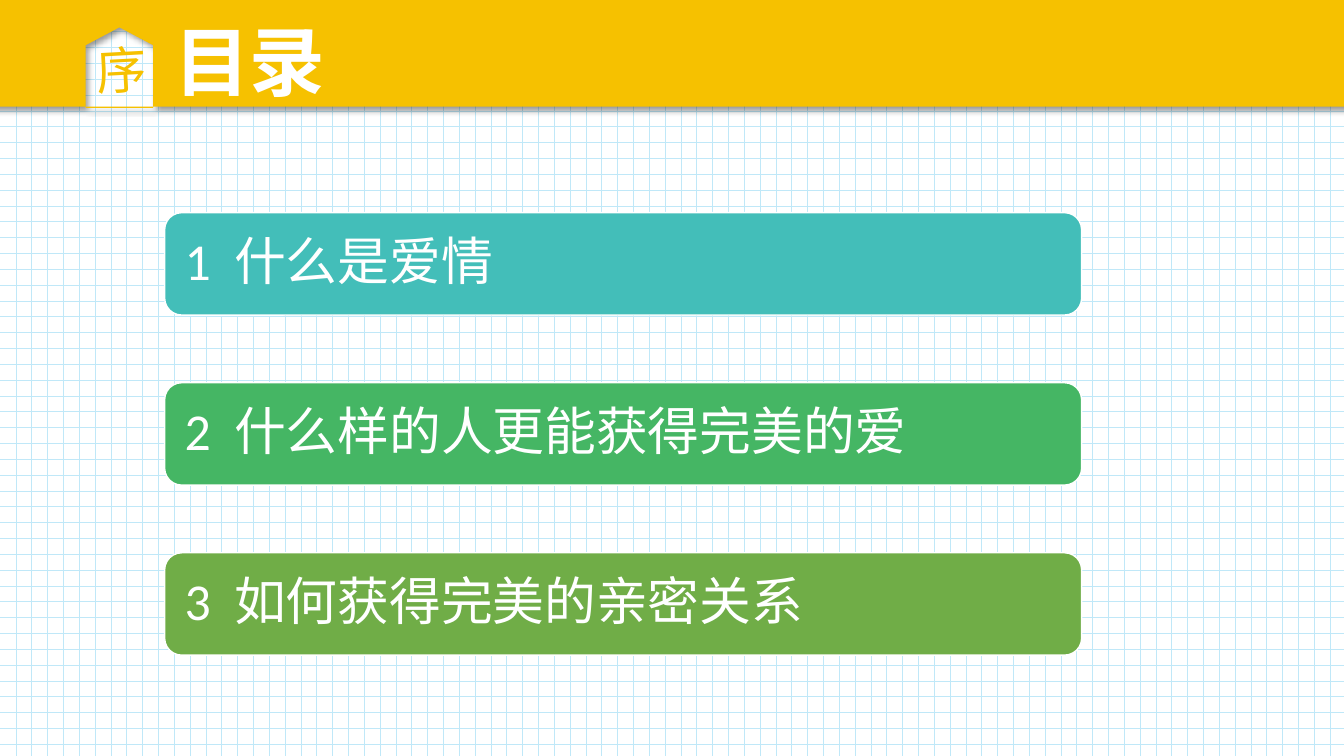
from lxml import etree
from pptx import Presentation
from pptx.dml.color import RGBColor
from pptx.enum.dml import MSO_PATTERN
from pptx.enum.shapes import MSO_SHAPE
from pptx.enum.text import MSO_ANCHOR, MSO_AUTO_SIZE, PP_ALIGN
from pptx.util import Cm, Pt

DOT_GRID = MSO_PATTERN.DOTTED_GRID
ROUNDED = MSO_SHAPE.ROUNDED_RECTANGLE
MIDDLE = MSO_ANCHOR.MIDDLE
GROW = MSO_AUTO_SIZE.SHAPE_TO_FIT_TEXT
LEFT = PP_ALIGN.LEFT

WHITE = RGBColor(0xFF, 0xFF, 0xFF)
GRID_BLUE = RGBColor(0xC0, 0xE8, 0xF8)
YELLOW = RGBColor(0xF6, 0xC1, 0x00)
TEAL = RGBColor(0x43, 0xBE, 0xB9)
GREEN = RGBColor(0x45, 0xB6, 0x64)
OLIVE = RGBColor(0x70, 0xAD, 0x47)

MARK_FONT = {"name": "Noto Sans CJK JP", "size": Pt(36)}
TITLE_FONT = {"name": "Arial", "size": Pt(54), "bold": True}
TOPIC_FONT = {"name": "Calibri", "size": Pt(37)}

TOPICS = [
    ("1", "什么是爱情", TEAL),
    ("2", "什么样的人更能获得完美的爱", GREEN),
    ("3", "如何获得完美的亲密关系", OLIVE),
]

SHADOW = (
    '<a:effectLst xmlns:a="http://schemas.openxmlformats.org/drawingml/2006/main">'
    '<a:outerShdw blurRad="50800" dist="38100" dir="2700000" algn="tl" rotWithShape="0">'
    '<a:srgbClr val="000000"><a:alpha val="40000"/></a:srgbClr>'
    "</a:outerShdw></a:effectLst>"
)


def add_run(paragraph, text, font_values, color):
    run = paragraph.add_run()
    run.text = text
    for attribute, value in font_values.items():
        setattr(run.font, attribute, value)
    run.font.color.rgb = color
    return run


def add_label(slide, box, text, font_values, color, wrap):
    label = slide.shapes.add_textbox(*box)
    label.text_frame.word_wrap = wrap
    label.text_frame.auto_size = GROW
    add_run(label.text_frame.paragraphs[0], text, font_values, color)
    return label


def add_header(slide, left, top, width, height):
    """Yellow band with a house-shaped opening, its mark and the title."""
    right, bottom = left + width, top + height
    band_bottom = bottom - Cm(0.03)
    house_left, house_right = left + Cm(2.87), left + Cm(4.57)
    house_middle = (house_left + house_right) // 2
    eaves, ridge = top + Cm(2.23), top + Cm(1.78)

    outline = slide.shapes.build_freeform(left, top)
    outline.add_line_segments([
        (right, top), (right, band_bottom), (house_right, band_bottom),
        (house_right, eaves), (house_middle, ridge), (house_left, eaves),
        (house_left, band_bottom), (left, band_bottom),
    ])
    outline.move_to(house_left, band_bottom)
    outline.add_line_segments([
        (house_right, band_bottom), (house_right, bottom), (house_left, bottom),
    ])
    band = outline.convert_to_shape()
    band.fill.solid()
    band.fill.fore_color.rgb = YELLOW
    band.line.fill.background()
    band.element.spPr.append(etree.fromstring(SHADOW))

    mark_box = (left + Cm(2.89), top + Cm(1.95), Cm(1.8), Cm(1.8))
    mark = add_label(slide, mark_box, "序", MARK_FONT, YELLOW, False)
    mark.rotation = 356.9
    title_box = (left + Cm(4.85), top + Cm(1.35), Cm(26.14), Cm(2.57))
    add_label(slide, title_box, "目录", TITLE_FONT, WHITE, True)


def add_topic(slide, left, top, width, height, number, topic, color):
    card = slide.shapes.add_shape(ROUNDED, left, top, width, height)
    card.shadow.inherit = False
    card.fill.solid()
    card.fill.fore_color.rgb = color
    card.line.color.rgb = WHITE
    card.line.width = Pt(1)

    frame = card.text_frame
    frame.word_wrap = True
    frame.vertical_anchor = MIDDLE
    for side in ("left", "top", "right", "bottom"):
        setattr(frame, f"margin_{side}", Cm(0.38))
    paragraph = frame.paragraphs[0]
    paragraph.alignment = LEFT
    paragraph.line_spacing = 0.9
    add_run(paragraph, number, TOPIC_FONT, WHITE)
    gap = add_run(paragraph, " ", TOPIC_FONT, WHITE)
    gap.font._element.set("spc", "830")
    add_run(paragraph, topic, TOPIC_FONT, WHITE)


def add_contents(slide, left, top, width, height):
    """Stack the topic cards with equal gaps over the whole height."""
    card_height = Cm(2.58)
    pitch = (height - card_height) // (len(TOPICS) - 1)
    for index, (number, topic, color) in enumerate(TOPICS):
        add_topic(slide, left, top + index * pitch, width, card_height,
                  number, topic, color)


def main():
    presentation = Presentation()
    presentation.slide_width = Cm(33.87)
    presentation.slide_height = Cm(19.05)
    slide = presentation.slides.add_slide(presentation.slide_layouts[6])

    background = slide.background.fill
    background.patterned()
    background.pattern = DOT_GRID
    background.fore_color.rgb = GRID_BLUE
    background.back_color.rgb = WHITE

    add_header(slide, Cm(-0.71), Cm(-1.09), Cm(35.23), Cm(3.81))
    add_contents(slide, Cm(4.15), Cm(5.36), Cm(23.11), Cm(11.15))
    presentation.save("out.pptx")


if __name__ == "__main__":
    main()
